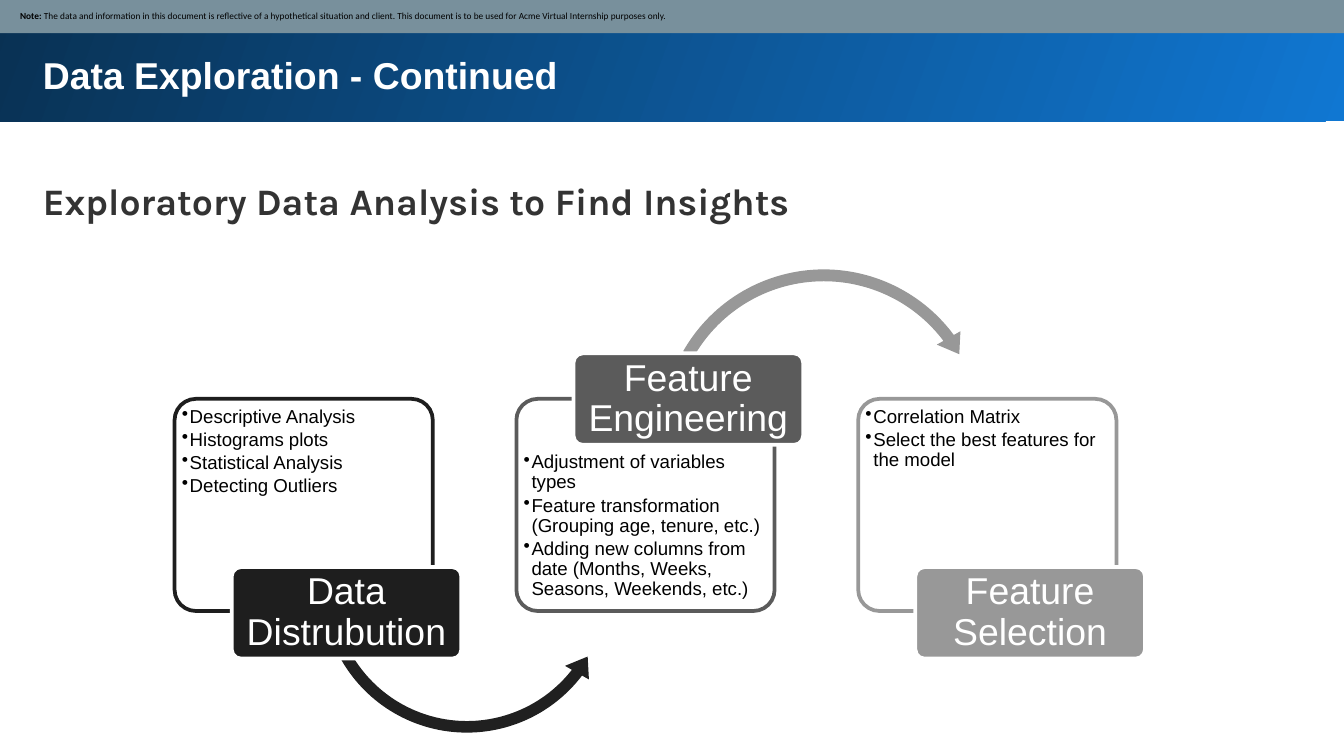
from lxml.etree import SubElement
from pptx import Presentation
from pptx.dml.color import RGBColor
from pptx.enum.shapes import MSO_SHAPE as Preset
from pptx.enum.text import MSO_ANCHOR as Anchor, MSO_AUTO_SIZE as AutoSize, PP_ALIGN as Align
from pptx.oxml.ns import qn
from pptx.util import Cm, Pt


def color(value):
    return RGBColor.from_string(value)


class Deck:
    """Holds the slide style and draws each kind of element on the current slide."""

    font = "Arial"
    heading_size = 20
    body_size = 10
    white = "FFFFFF"
    black = "000000"

    def __init__(self, width, height):
        self.presentation = Presentation()
        self.presentation.slide_width = Cm(width)
        self.presentation.slide_height = Cm(height)
        self.slide = self.presentation.slides.add_slide(self.presentation.slide_layouts[5])

    def frame(self, shape, insets, anchor=Anchor.TOP):
        frame = shape.text_frame
        frame.word_wrap = True
        frame.auto_size = AutoSize.NONE
        frame.vertical_anchor = anchor
        frame.margin_left, frame.margin_top, frame.margin_right, frame.margin_bottom = map(Cm, insets)
        return frame

    def format(self, paragraph, size, text_color, bold=False, font=None, align=Align.LEFT, spacing=1.0):
        paragraph.alignment = align
        paragraph.line_spacing = spacing
        paragraph.font.name = font or self.font
        paragraph.font.size = Pt(size)
        paragraph.font.bold = bold
        paragraph.font.color.rgb = color(text_color)

    def shape(self, preset, box, fill, line=None, adjustments=()):
        shape = self.slide.shapes.add_shape(preset, *map(Cm, box))
        shape.shadow.inherit = False
        shape.fill.solid()
        shape.fill.fore_color.rgb = color(fill)
        if line:
            shape.line.color.rgb = color(line)
            shape.line.width = Pt(2)
        else:
            shape.line.fill.background()
        for index, value in enumerate(adjustments):
            shape.adjustments[index] = value
        return shape

    def header(self, box, start, end):
        shape = self.shape(Preset.RECTANGLE, box, start)
        shape.fill.gradient()
        shape.fill.gradient_angle = 160
        for stop, value in zip(shape.fill.gradient_stops, (start, end)):
            stop.color.rgb = color(value)
        self.slide.shapes.title.element.addprevious(shape.element)

    def title(self, box, text):
        title = self.slide.shapes.title
        title.left, title.top, title.width, title.height = map(Cm, box)
        paragraph = self.frame(title, [0.25] * 4).paragraphs[0]
        paragraph.text = text
        self.format(paragraph, self.heading_size, self.white, bold=True)

    def subtitle(self, box, text):
        shape = self.slide.shapes.add_textbox(*map(Cm, box))
        paragraph = self.frame(shape, [0.25] * 4).paragraphs[0]
        paragraph.text = text
        self.format(paragraph, self.heading_size, "333333", bold=True, font="Karla", spacing=1.15)

    def note(self, box, label, text):
        shape = self.shape(Preset.RECTANGLE, box, "78909C")
        paragraph = self.frame(shape, (0.41, 0.13, 0.13, 0.13), Anchor.MIDDLE).paragraphs[0]
        self.format(paragraph, 5, self.black, font="Calibri")
        paragraph.add_run().text = label
        paragraph.add_run().text = text
        paragraph.runs[0].font.bold = True

    def card(self, box, line, items, top_inset):
        shape = self.shape(Preset.ROUNDED_RECTANGLE, box, self.white, line, [0.1])
        solid = shape.element.spPr.find(qn("a:solidFill"))
        SubElement(solid[0], qn("a:alpha"), val="90000")
        frame = self.frame(shape, (0.02, top_inset, 0.02, 0.02))
        for index, item in enumerate(items):
            paragraph = frame.add_paragraph() if index else frame.paragraphs[0]
            paragraph.text = item
            properties = paragraph._p.get_or_add_pPr()
            properties.set("marL", str(Cm(0.15)))
            properties.set("indent", str(Cm(-0.15)))
            SubElement(properties, qn("a:buChar"), char="•")
            self.format(paragraph, self.body_size, self.black, spacing=0.9)
            paragraph.space_after = Pt(1.5)

    def label(self, box, fill, text):
        shape = self.shape(Preset.ROUNDED_RECTANGLE, box, fill, self.white, [0.1])
        paragraph = self.frame(shape, (0.1, 0.08, 0.1, 0.08), Anchor.MIDDLE).paragraphs[0]
        paragraph.text = text
        self.format(paragraph, self.heading_size, self.white, align=Align.CENTER, spacing=0.9)


STEPS = [
    ("Data Distrubution", "1E1E1E", False,
     ["Descriptive Analysis", "Histograms plots", "Statistical Analysis", "Detecting Outliers"],
     (Preset.LEFT_CIRCULAR_ARROW, (5.94, 8.23, 5.77, 5.77), "202020", None,
      (0.038, 4.79, 22.55, 90.25, 0.045))),
    ("Feature Engineering", "5B5B5B", True,
     ["Adjustment of variables types",
      "Feature transformation (Grouping age, tenure, etc.)",
      "Adding new columns from date (Months, Weeks, Seasons, Weekends, etc.)"],
     (Preset.CIRCULAR_ARROW, (12.37, 4.95, 6.4, 6.4), "989898", None,
      (0.035, 4.29, 193.96, 125.76, 0.04))),
    ("Feature Selection", "989898", False,
     ["Correlation Matrix", "Select the best features for the model"], None),
]


def main():
    deck = Deck(25.4, 14.29)
    deck.header((-0.05, -0.05, 25.53, 2.34), "1077D2", "093153")
    deck.title((0.56, 0.74, 23.8, 1.37), "Data Exploration - Continued")
    deck.subtitle((0.56, 3, 23.8, 1.4), "Exploratory Data Analysis to Find Insights")
    deck.note((-0.03, -0.03, 25.48, 0.66), "Note: ",
              "The data and information in this document is reflective of a hypothetical situation "
              "and client. This document is to be used for Acme Virtual Internship purposes only.")
    for index, (name, fill, label_on_top, items, arrow) in enumerate(STEPS):
        left = 3.3 + 6.46 * index
        deck.card((left, 7.54, 4.88, 4.01), fill, items, 0.9 if label_on_top else 0.04)
        if arrow:
            deck.shape(*arrow)
        deck.label((left + 1.08, 6.68 if label_on_top else 10.72, 4.34, 1.73), fill, name)
    deck.presentation.save("out.pptx")


if __name__ == "__main__":
    main()
